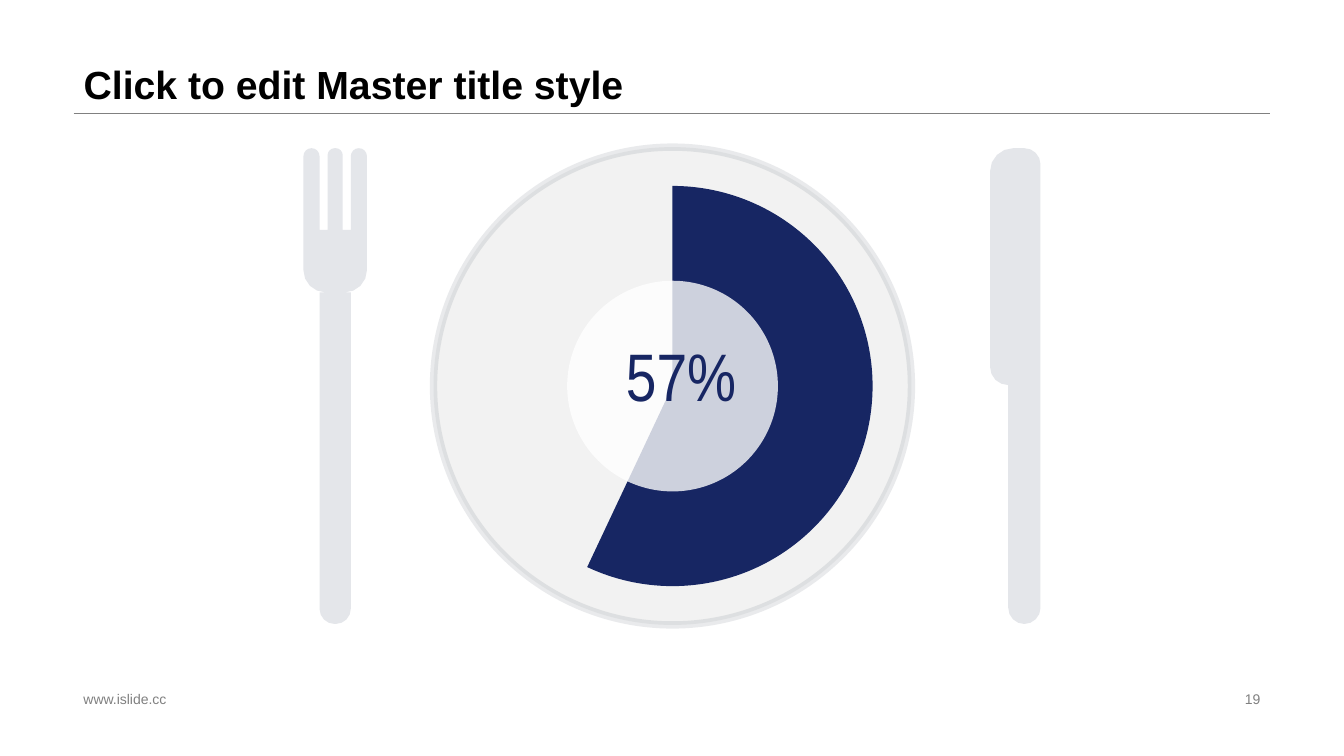
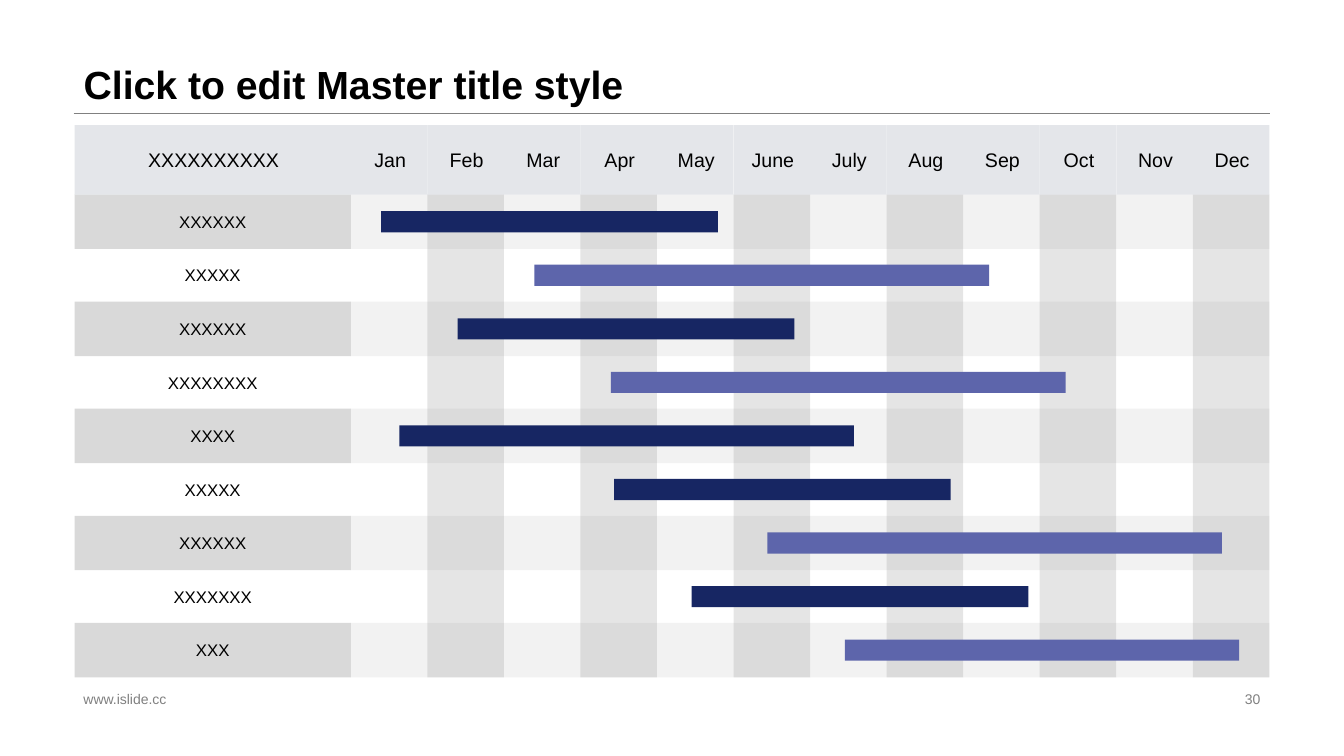
import math

import pptx
import pptx.dml.color
import pptx.enum.shapes
import pptx.enum.text
import pptx.oxml.ns
import pptx.util
from lxml import etree

Inches = pptx.util.Inches
Pt = pptx.util.Pt
SHAPE = pptx.enum.shapes.MSO_SHAPE
ALIGN = pptx.enum.text.PP_ALIGN
ANCHOR = pptx.enum.text.MSO_ANCHOR
qn = pptx.oxml.ns.qn

NAVY, VIOLET = "172663", "5D65AB"
BLACK, GRAY, WHITE = "000000", "808080", "FFFFFF"
SILVER, SLATE, PLATE = "E4E6EA", "576270", "F2F2F2"
LABEL_GRAY, BAND_GRAY = "D9D9D9", "BFBFBF"

LEFT, WIDTH, RULE_Y = 0.73, 11.87, 1.12
FOOTER_Y, FOOTER_HEIGHT = 6.82, 0.23

MONTHS = ["Jan", "Feb", "Mar", "Apr", "May", "June",
          "July", "Aug", "Sep", "Oct", "Nov", "Dec"]
# Label, left and width of the bar within the months area, bar colour
TASKS = [
    ("XXXXXX", 0.3, 3.34, NAVY),
    ("XXXXX", 1.82, 4.51, VIOLET),
    ("XXXXXX", 1.06, 3.34, NAVY),
    ("XXXXXXXX", 2.58, 4.51, VIOLET),
    ("XXXX", 0.48, 4.51, NAVY),
    ("XXXXX", 2.61, 3.34, NAVY),
    ("XXXXXX", 4.13, 4.51, VIOLET),
    ("XXXXXXX", 3.38, 3.34, NAVY),
    ("XXX", 4.9, 3.91, VIOLET),
]

# Corners of the cutlery outlines: x, y, rounding radius
FORK = [
    (0, 0, 0.08), (0.16, 0, 0.08), (0.16, 0.81, 0),
    (0.24, 0.81, 0), (0.24, 0, 0.07), (0.39, 0, 0.07), (0.39, 0.81, 0),
    (0.47, 0.81, 0), (0.47, 0, 0.08), (0.63, 0, 0.08), (0.63, 1.43, 0.22),
    (0.47, 1.43, 0), (0.47, 4.72, 0.15), (0.16, 4.72, 0.15),
    (0.16, 1.43, 0), (0, 1.43, 0.22),
]
KNIFE = [
    (0, 0, 0.23), (0.5, 0, 0.16), (0.5, 4.72, 0.16),
    (0.18, 4.72, 0.16), (0.18, 2.35, 0), (0, 2.35, 0.18),
]


def rgb(hex_color):
    return pptx.dml.color.RGBColor.from_string(hex_color)


def set_opacity(properties, percent):
    """Make the solid fill directly inside an spPr or ln element translucent."""
    color = properties.find(qn("a:solidFill")).find(qn("a:srgbClr"))
    etree.SubElement(color, qn("a:alpha")).set("val", str(percent * 1000))


def paint(shape, color, opacity=100):
    shape.shadow.inherit = False
    shape.fill.solid()
    shape.fill.fore_color.rgb = rgb(color)
    shape.line.fill.background()
    if opacity < 100:
        set_opacity(shape._element.spPr, opacity)


def add_filled(slide, kind, x, y, width, height, color, opacity=100):
    shape = slide.shapes.add_shape(
        kind, Inches(x), Inches(y), Inches(width), Inches(height))
    paint(shape, color, opacity)
    return shape


def style_text(frame, size, color, align=ALIGN.LEFT, font="Arial", bold=False):
    for paragraph in frame.paragraphs:
        paragraph.alignment = align
        for run in paragraph.runs:
            run.font.name = font
            run.font.size = Pt(size)
            run.font.bold = bold
            run.font.color.rgb = rgb(color)


def add_text(slide, text, x, y, width, height, anchor=ANCHOR.MIDDLE, wrap=True):
    box = slide.shapes.add_textbox(
        Inches(x), Inches(y), Inches(width), Inches(height))
    frame = box.text_frame
    frame.word_wrap = wrap
    frame.vertical_anchor = anchor
    frame.text = text
    return frame


def add_rule(slide):
    rule = slide.shapes.add_connector(
        pptx.enum.shapes.MSO_CONNECTOR.STRAIGHT, Inches(LEFT), Inches(RULE_Y),
        Inches(LEFT + WIDTH), Inches(RULE_Y))
    rule.line.color.rgb = rgb(GRAY)
    rule.line.width = Pt(0.25)
    etree.SubElement(rule._element.spPr, qn("a:effectLst"))


def add_footer(slide, number):
    address = add_text(slide, "www.islide.cc", LEFT, FOOTER_Y,
                       4.53, FOOTER_HEIGHT)
    style_text(address, 10, GRAY)
    page = add_text(slide, str(number), 9.42, FOOTER_Y, 3.18, FOOTER_HEIGHT)
    style_text(page, 10, GRAY, ALIGN.RIGHT)


def add_titled_slide(deck, title, number):
    """Add a slide with the shared title, rule and footer."""
    slide = deck.slides.add_slide(deck.slide_layouts[5])
    add_rule(slide)
    heading = slide.shapes.title
    heading.left, heading.top = Inches(LEFT), Inches(0)
    heading.width, heading.height = Inches(WIDTH), Inches(RULE_Y)
    frame = heading.text_frame
    frame.text = title
    frame.auto_size = pptx.enum.text.MSO_AUTO_SIZE.NONE
    frame.vertical_anchor = ANCHOR.BOTTOM
    frame.paragraphs[0].line_spacing = 0.9
    style_text(frame, 28, BLACK, bold=True)
    add_footer(slide, number)
    return slide


def rounded_outline(corners, steps=4):
    """Return points along a right-angled outline with its corners rounded."""
    points = []
    for index, (x, y, radius) in enumerate(corners):
        if radius == 0:
            points.append((x, y))
            continue
        ends = []
        for neighbor in (corners[index - 1], corners[(index + 1) % len(corners)]):
            dx, dy = neighbor[0] - x, neighbor[1] - y
            reach = radius / math.hypot(dx, dy)
            ends.append((dx * reach, dy * reach))
        (ax, ay), (bx, by) = ends
        for step in range(steps + 1):
            angle = math.pi / 2 * step / steps
            from_a, from_b = 1 - math.sin(angle), 1 - math.cos(angle)
            points.append((x + ax * from_a + bx * from_b,
                           y + ay * from_a + by * from_b))
    return points


def add_cutlery(slide, corners, x, y):
    points = [(Inches(x + px), Inches(y + py))
              for px, py in rounded_outline(corners)]
    builder = slide.shapes.build_freeform(*points[0])
    builder.add_line_segments(points[1:], close=True)
    paint(builder.convert_to_shape(), SILVER)


def add_plate(slide, x, y, size, percent):
    """Draw a round plate whose pie wedge covers the given percentage."""
    def add_centered(kind, diameter, color, opacity=100):
        inset = (size - diameter) / 2
        return add_filled(slide, kind, x + inset, y + inset,
                          diameter, diameter, color, opacity)

    rim = add_centered(SHAPE.OVAL, size, PLATE)
    rim.line.color.rgb = rgb(SLATE)
    rim.line.width = Pt(5.25)
    set_opacity(rim._element.spPr.find(qn("a:ln")), 12)

    wedge = add_centered(SHAPE.PIE, 3.97, NAVY)
    end_angle = (270 + 3.6 * percent) % 360
    wedge.adjustments[0] = 270 * 0.6
    wedge.adjustments[1] = end_angle * 0.6

    add_centered(SHAPE.OVAL, 2.09, WHITE, 79)
    share = add_text(slide, f"{percent}%", x + 1.78, y + 1.86, 1.35, 1.01,
                     ANCHOR.TOP, wrap=False)
    share.margin_left = share.margin_right = 0
    share.margin_top = share.margin_bottom = 0
    style_text(share, 48, NAVY, ALIGN.CENTER, "Arial Narrow")


def add_schedule(slide, x, y, width, height):
    """Draw a year chart: header, striped rows and columns, labels and bars."""
    label_width, header_height = 2.74, 0.69
    band_height, bar_height, text_height = 0.54, 0.21, 0.3
    months_x, body_y = x + label_width, y + header_height
    months_width, body_height = width - label_width, height - header_height
    month_width = months_width / len(MONTHS)
    row_pitch = (body_height - band_height) / (len(TASKS) - 1)
    row_tops = [body_y + i * row_pitch for i in range(len(TASKS))]
    month_lefts = [months_x + i * month_width for i in range(len(MONTHS))]

    def add_block(left, top, block_width, block_height, color, opacity=100):
        add_filled(slide, SHAPE.RECTANGLE, left, top,
                   block_width, block_height, color, opacity)

    for top in row_tops[::2]:
        add_block(months_x, top, months_width, band_height, BAND_GRAY, 20)
        add_block(x, top, label_width, band_height, LABEL_GRAY)

    headings = [("XXXXXXXXXX", x, label_width)]
    headings += [(month, left, month_width)
                 for month, left in zip(MONTHS, month_lefts)]
    for _, left, heading_width in headings:
        add_block(left, y, heading_width, header_height, SILVER)
    for left in month_lefts[1::2]:
        add_block(left, body_y, month_width, body_height, GRAY, 20)
    for text, left, heading_width in headings:
        heading = add_text(slide, text, left + 0.01, y + 0.11,
                           heading_width, 0.46, wrap=False)
        style_text(heading, 14, BLACK, ALIGN.CENTER)

    for (text, start, length, color), top in zip(TASKS, row_tops):
        label = add_text(slide, text, x + 0.3, top + 0.12, 2.14, text_height)
        style_text(label, 12, BLACK, ALIGN.CENTER)
        add_block(months_x + start, top + (band_height - bar_height) / 2,
                  length, bar_height, color)


def main():
    deck = pptx.Presentation()
    deck.slide_width, deck.slide_height = Inches(13.33), Inches(7.5)
    title = "Click to edit Master title style"

    share_slide = add_titled_slide(deck, title, 19)
    add_plate(share_slide, 4.3, 1.46, 4.74, 57)
    add_cutlery(share_slide, KNIFE, 9.82, 1.47)
    add_cutlery(share_slide, FORK, 3.01, 1.47)

    schedule_slide = add_titled_slide(deck, title, 30)
    add_schedule(schedule_slide, 0.74, 1.24, 11.85, 5.48)

    deck.save("out.pptx")


if __name__ == "__main__":
    main()
